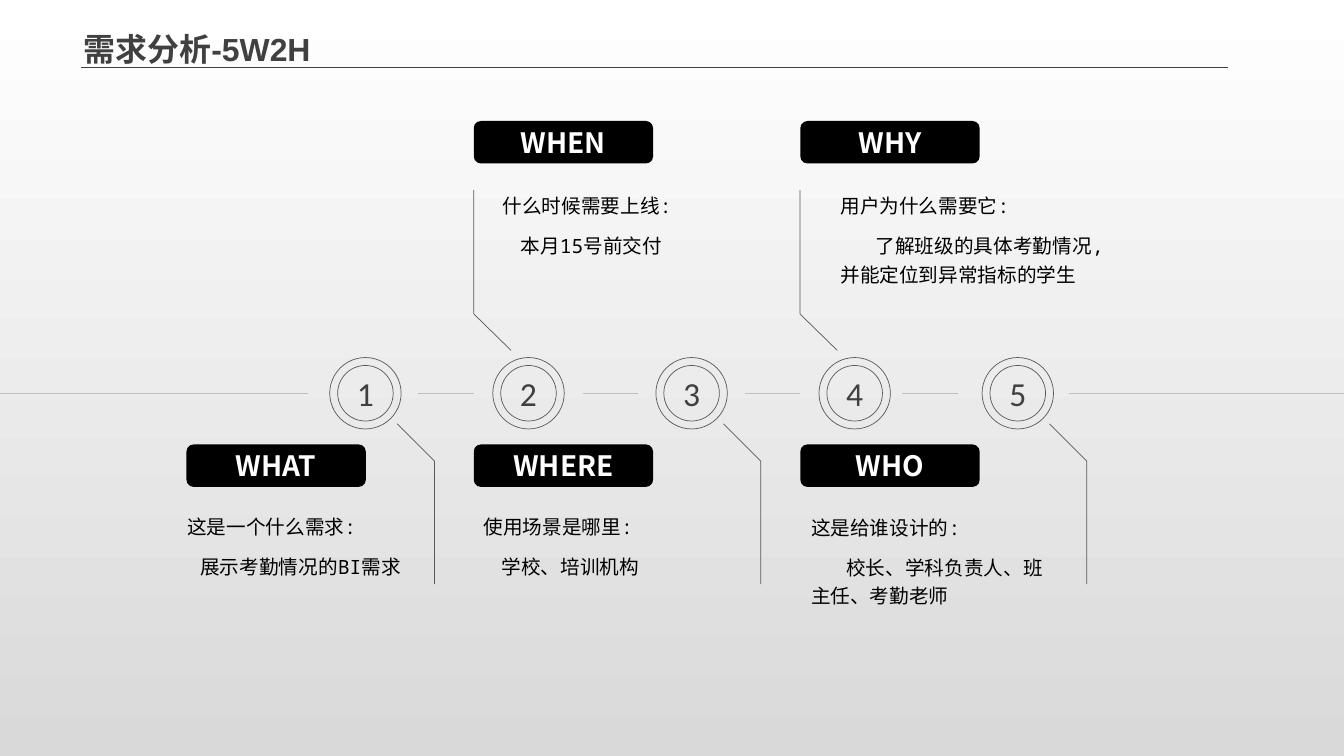
from dataclasses import dataclass

from lxml import etree
from pptx import Presentation
from pptx.dml.color import RGBColor
from pptx.enum.shapes import MSO_CONNECTOR, MSO_SHAPE
from pptx.enum.text import MSO_ANCHOR, MSO_AUTO_SIZE, PP_ALIGN
from pptx.oxml.ns import qn
from pptx.util import Cm, Pt

STRAIGHT = MSO_CONNECTOR.STRAIGHT
OVAL = MSO_SHAPE.OVAL
ROUNDED = MSO_SHAPE.ROUNDED_RECTANGLE
MIDDLE = MSO_ANCHOR.MIDDLE
FIT_SHAPE = MSO_AUTO_SIZE.SHAPE_TO_FIT_TEXT
CENTER = PP_ALIGN.CENTER


@dataclass(frozen=True)
class Theme:
    dark: str = "404040"
    outline: str = "595959"
    axis: str = "BFBFBF"
    black: str = "000000"
    white: str = "FFFFFF"
    bg_end: str = "D9D9D9"
    title_font: str = "Arial"
    number_font: str = "Calibri"
    body_font: str = "Noto Sans Mono"
    label_font: str = "Noto Sans CJK SC"
    title_size: float = 22.8
    number_size: float = 24
    label_size: float = 20
    body_size: float = 14
    line_width: float = 0.5


@dataclass(frozen=True)
class Topic:
    label: str
    label_x: float
    label_y: float
    text_x: float
    text_y: float
    text_w: float
    text_h: float
    question: str
    answer: str
    indent: float


@dataclass(frozen=True)
class Elbow:
    far_dx: float
    near_dx: float
    far_dy: float
    bend_dy: float
    near_dy: float


THEME = Theme()
AXIS_Y = 9.91
FIRST_X, PITCH, STEPS = 9.21, 4.11, 5
OUTER, INNER = 1.8, 1.4
LABEL_W, LABEL_H = 4.52, 1.07
UPPER_Y, LOWER_Y = 3.05, 11.2

ABOVE = Elbow(-1.38, -0.44, -5.12, -2, -1.08)
BELOW = Elbow(1.74, 0.8, 4.81, 1.71, 0.77)
AXIS_PARTS = [(0, 7.75), (10.54, 11.94), (14.68, 16.08),
              (18.77, 20.17), (22.73, 24.13), (26.95, 33.87)]
TOPICS = [
    Topic("WHAT", 4.7, LOWER_Y, 4.47, 12.73, 6.48, 1.98,
          "这是一个什么需求:", "展示考勤情况的BI需求", 0.33),
    Topic("WHEN", 11.94, UPPER_Y, 12.42, 4.65, 6.48, 1.98,
          "什么时候需要上线:", "本月15号前交付", 0.45),
    Topic("WHERE", 11.94, LOWER_Y, 11.94, 12.73, 6.48, 1.98,
          "使用场景是哪里:", "学校、培训机构", 0.45),
    Topic("WHY", 20.17, UPPER_Y, 20.93, 4.65, 7.04, 2.72,
          "用户为什么需要它:", "了解班级的具体考勤情况,并能定位到异常指标的学生", 0.89),
    Topic("WHO", 20.17, LOWER_Y, 20.19, 12.75, 6.35, 2.72,
          "这是给谁设计的:", "校长、学科负责人、班主任、考勤老师", 0.89),
]


def rgb(color: str) -> RGBColor:
    return RGBColor.from_string(color)


def style(p, font: str, size: float, color: str, bold: bool = False) -> None:
    for r in p.runs:
        r.font.name = font
        r.font.size = Pt(size)
        r.font.bold = bold
        r.font.color.rgb = rgb(color)


def clear_insets(tf) -> None:
    tf.margin_left = tf.margin_right = tf.margin_top = tf.margin_bottom = 0


def outline(sp) -> None:
    sp.shadow.inherit = False
    sp.fill.background()
    sp.line.color.rgb = rgb(THEME.outline)
    sp.line.width = Pt(THEME.line_width)


def center_text(sp, text: str, font: str, size: float, color: str,
                bold: bool = False) -> None:
    tf = sp.text_frame
    clear_insets(tf)
    tf.word_wrap = False
    tf.vertical_anchor = MIDDLE
    tf.text = text
    p = tf.paragraphs[0]
    p.alignment = CENTER
    style(p, font, size, color, bold)


def add_line(s, x1: float, x2: float, y: float, color: str) -> None:
    line = s.shapes.add_connector(STRAIGHT, Cm(x1), Cm(y), Cm(x2), Cm(y))
    line.line.color.rgb = rgb(color)
    line.line.width = Pt(THEME.line_width)
    etree.SubElement(line._element.spPr, qn("a:effectLst"))


def add_step(s, number: int, x: float) -> None:
    group = s.shapes.add_group_shape()
    for size in (OUTER, INNER):
        sp = group.shapes.add_shape(OVAL, Cm(x - size / 2), Cm(AXIS_Y - size / 2),
                                    Cm(size), Cm(size))
        outline(sp)
    center_text(sp, str(number), THEME.number_font, THEME.number_size, THEME.dark)


def add_elbow(s, elbow: Elbow, x: float) -> None:
    far_x = Cm(x + elbow.far_dx)
    builder = s.shapes.build_freeform(far_x, Cm(AXIS_Y + elbow.far_dy))
    builder.add_line_segments([
        (far_x, Cm(AXIS_Y + elbow.bend_dy)),
        (Cm(x + elbow.near_dx), Cm(AXIS_Y + elbow.near_dy)),
    ], close=False)
    outline(builder.convert_to_shape())


def add_topic(s, topic: Topic) -> None:
    sp = s.shapes.add_shape(ROUNDED, Cm(topic.label_x), Cm(topic.label_y),
                            Cm(LABEL_W), Cm(LABEL_H))
    sp.shadow.inherit = False
    sp.fill.solid()
    sp.fill.fore_color.rgb = rgb(THEME.black)
    sp.line.fill.background()
    center_text(sp, topic.label, THEME.label_font, THEME.label_size,
                THEME.white, True)

    box = s.shapes.add_textbox(Cm(topic.text_x), Cm(topic.text_y),
                               Cm(topic.text_w), Cm(topic.text_h))
    tf = box.text_frame
    tf.word_wrap = True
    tf.auto_size = FIT_SHAPE
    tf.text = topic.question
    answer = tf.add_paragraph()
    answer.text = topic.answer
    answer.space_before = Pt(8.5)
    answer._p.get_or_add_pPr().set("indent", str(Cm(topic.indent)))
    for p in tf.paragraphs:
        p.line_spacing = 1.2
        style(p, THEME.body_font, THEME.body_size, THEME.black)


def add_title(s, text: str) -> None:
    add_line(s, 2.03, 30.94, 1.7, THEME.dark)
    tf = s.shapes.add_textbox(Cm(1.63), Cm(0.74), Cm(6.68), Cm(0.97)).text_frame
    clear_insets(tf)
    tf.word_wrap = True
    tf.auto_size = FIT_SHAPE
    tf.text = text
    p = tf.paragraphs[0]
    p.alignment = CENTER
    p.space_after = Pt(6)
    style(p, THEME.title_font, THEME.title_size, THEME.dark, True)


def main() -> None:
    prs = Presentation()
    prs.slide_width, prs.slide_height = Cm(33.87), Cm(19.05)
    s = prs.slides.add_slide(prs.slide_layouts[6])
    fill = s.background.fill
    fill.gradient()
    fill.gradient_angle = 270
    for stop, color in zip(fill.gradient_stops, (THEME.white, THEME.bg_end)):
        stop.color.rgb = rgb(color)

    for i in range(STEPS):
        x = FIRST_X + i * PITCH
        add_step(s, i + 1, x)
        add_elbow(s, ABOVE if i % 2 else BELOW, x)
    for start, end in AXIS_PARTS:
        add_line(s, start, end, AXIS_Y, THEME.axis)
    add_title(s, "需求分析-5W2H")
    for topic in TOPICS:
        add_topic(s, topic)
    prs.save("out.pptx")


if __name__ == "__main__":
    main()
